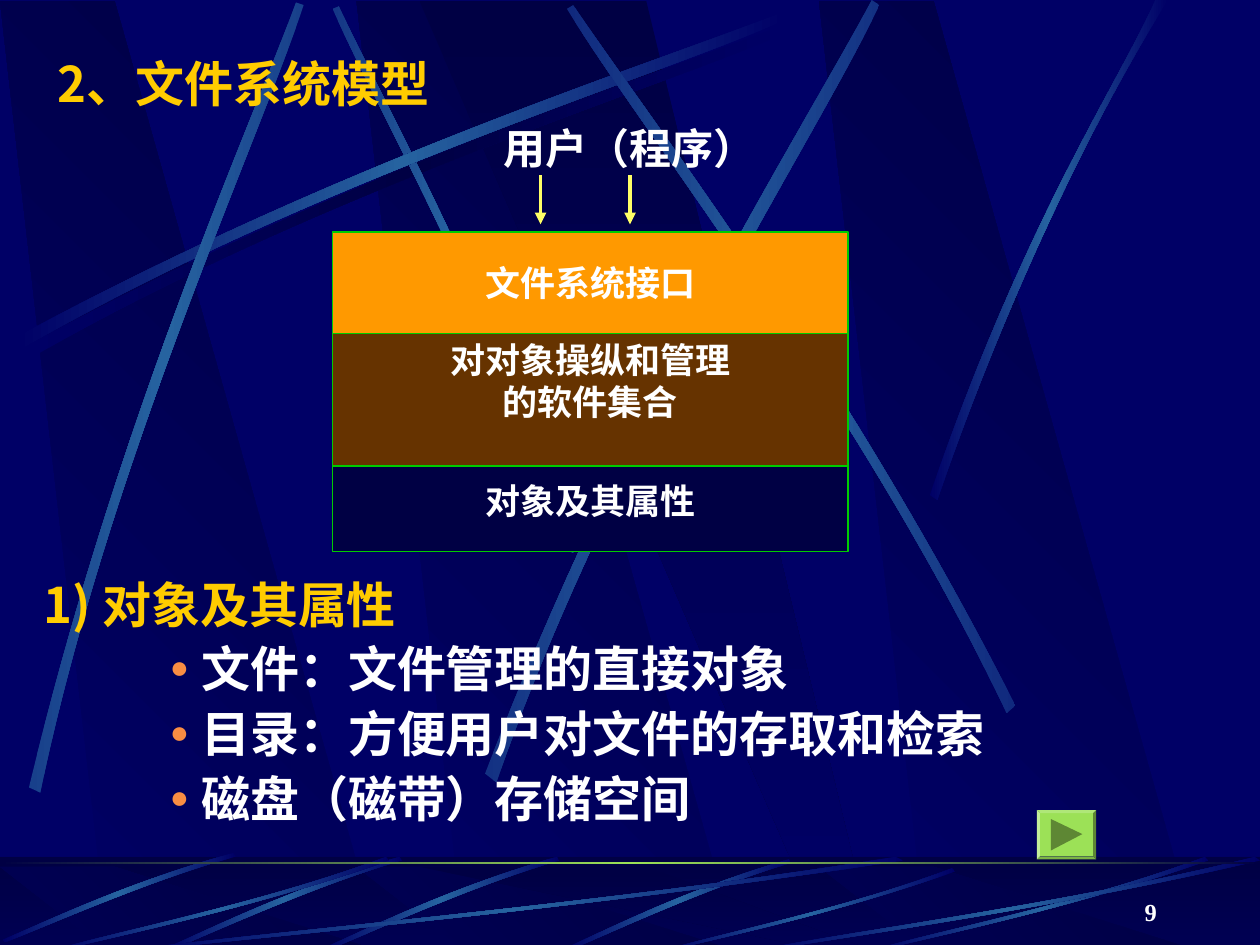
from lxml.etree import SubElement
from pptx import Presentation
from pptx.dml.color import RGBColor
from pptx.enum.shapes import MSO_CONNECTOR, MSO_SHAPE
from pptx.enum.text import MSO_ANCHOR, PP_ALIGN
from pptx.oxml.ns import qn
from pptx.util import Inches, Pt

NAVY, DARK, STEEL, GREEN = "000066", "000044", "2663A0", "9CE157"
GOLD, WHITE = "FFCC00", "FFFFFF"
SANS, SERIF = "Noto Sans CJK SC", "Times New Roman"

# Streak outlines: two cubic curves of four points each
SWEEP = [(0.14, 2.67), (2.78, 1.25), (5.18, 0.51), (6.2, 0.1),
         (6.23, 0.16), (5.22, 0.61), (2.48, 1.43), (0.17, 2.77)]
# Each outline with the width over which its gradient runs
STREAKS = [
    ([(4.6, 4.36), (3.91, 2.34), (3.02, 0.77), (2.69, 0.05),
      (2.64, 0.07), (2.95, 0.79), (3.98, 2.58), (4.54, 4.39)], 4.42),
    (SWEEP, 6.08),
    ([(0.23, 6.25), (0.93, 3.34), (1.97, 1.05), (2.35, 0.02),
      (2.41, 0.04), (2.07, 1.08), (0.86, 3.68), (0.32, 6.29)], 6.08),
    ([(3.85, 6.14), (4.98, 3.2), (6.38, 1.02), (6.92, 0),
      (6.98, 0.04), (6.49, 1.08), (4.86, 3.55), (3.94, 6.21)], 6.24),
    ([(8.06, 5.6), (6.7, 2.93), (5.16, 0.95), (4.55, 0.04),
      (4.5, 0.07), (5.07, 1.01), (6.85, 3.25), (7.99, 5.66)], 6.08),
    ([(7.38, 3.93), (8.14, 1.73), (8.88, 0.66), (9.17, 0),
      (9.27, 0), (8.36, 1.45), (7.69, 3.22), (7.44, 3.97)], 1.89),
]
# Floor ripples, as fractions of their box
ARC = [(0.99, 0), (0.53, 0.33), (0.16, 0.8), (0, 0.97),
       (0.01, 1), (0.17, 0.84), (0.62, 0.31), (1, 0.04)]
RIPPLE = [(1, 0.04), (0.57, 0.57), (0.17, 0.85), (0.01, 1),
          (0, 0.99), (0.16, 0.81), (0.61, 0.51), (0.99, 0)]
RIPPLES = [
    (ARC, (4.48, 6.82, 1.8, 0.73)), (ARC, (2.56, 6.8, 1.88, 0.75)),
    (ARC, (1.31, 6.8, 1.88, 0.75)), (ARC, (0.02, 6.77, 1.85, 0.71)),
    (RIPPLE, (1, 6.8, 6.17, 0.75)), (RIPPLE, (0.42, 6.8, 2.67, 0.75)),
    (RIPPLE, (5.27, 6.89, 2.31, 0.66)), (RIPPLE, (6.92, 6.8, 2.67, 0.75)),
    (RIPPLE, (6, 6.8, 4, 0.75)),
]


def color(value):
    return RGBColor.from_string(value)


def mix(first, second, share):
    pairs = zip(color(first), color(second))
    return "".join(f"{round(a + (b - a) * share):02X}" for a, b in pairs)


def paint(shape, fill, line=None):
    shape.shadow.inherit = False
    shape.fill.solid()
    shape.fill.fore_color.rgb = color(fill)
    if line:
        shape.line.color.rgb = color(line)
        shape.line.width = Pt(0.75)
    else:
        shape.line.fill.background()


def paint_gradient(shape, colors, angle):
    paint(shape, colors[0])
    shape.fill.gradient()
    shape.fill.gradient_angle = (360 - angle) % 360
    stops = shape._element.spPr.find(".//" + qn("a:gsLst"))
    for stop in list(stops):
        stops.remove(stop)
    for index, value in enumerate(colors):
        position = str(100000 * index // (len(colors) - 1))
        stop = SubElement(stops, qn("a:gs"), pos=position)
        SubElement(stop, qn("a:srgbClr"), val=value)


def add_box(slide, box, kind=MSO_SHAPE.RECTANGLE):
    return slide.shapes.add_shape(kind, *map(Inches, box))


def add_polygon(slide, points):
    corners = [(Inches(x), Inches(y)) for x, y in points]
    builder = slide.shapes.build_freeform(*corners[0], scale=1.0)
    builder.add_line_segments(corners[1:], close=True)
    return builder.convert_to_shape()


def bend(shape):
    """Turn the first and last three segments of an eight-point outline into curves."""
    segments = list(shape._element.spPr.iter(qn("a:lnTo")))
    for first, *others in (segments[:3], segments[4:]):
        first.tag = qn("a:cubicBezTo")
        for segment in others:
            first.append(segment[0])
            segment.getparent().remove(segment)


def add_streak(slide, points, span, middle=STEEL):
    shape = add_polygon(slide, points)
    bend(shape)
    reach = min(1, shape.width / Inches(span))
    edge = mix(middle, NAVY, reach)
    paint_gradient(shape, [edge, middle, edge], 0)


def add_bands(slide, top, height):
    bottom = top + height
    for left in (2.83, 0, 6.5):
        band = add_polygon(slide, [(left + 0.86, bottom), (left + 3.02, bottom),
                                   (left + 0.91, top), (left, top)])
        paint_gradient(band, [NAVY, DARK], 315)
    beam = add_polygon(slide, [(3.33, top), (6.58, bottom), (6.94, bottom), (5.13, top)])
    paint_gradient(beam, [DARK, NAVY], 90)


def add_backdrop(slide):
    slide.background.fill.solid()
    slide.background.fill.fore_color.rgb = color(NAVY)
    add_bands(slide, 0.01, 7.51)
    # Dark shade beneath the long sweep
    add_streak(slide, [(x + 0.06, y + 0.08) for x, y in SWEEP], 6.08, DARK)
    for points, span in STREAKS:
        add_streak(slide, points, span)


def add_floor(slide, box):
    left, top, width, height = box
    paint_gradient(add_box(slide, box), [DARK, NAVY], 90)
    add_bands(slide, top + 0.08, height - 0.08)
    veil = add_box(slide, box)
    paint(veil, DARK)
    tint = veil._element.spPr.find(".//" + qn("a:srgbClr"))
    SubElement(tint, qn("a:alpha"), val="50000")
    for outline, (x, y, w, h) in RIPPLES:
        add_streak(slide, [(x + u * w, y + v * h) for u, v in outline], w)
    # Glowing horizon line
    horizon = add_box(slide, (left, top + 0.04, width, 0.02))
    paint_gradient(horizon, [DARK, GREEN, DARK], 0)


def add_text(paragraph, text, size, font, value=WHITE):
    run = paragraph.add_run()
    run.text = text
    run.font.size, run.font.bold, run.font.name = Pt(size), True, font
    run.font.color.rgb = color(value)
    SubElement(run._r.get_or_add_rPr(), qn("a:ea"), typeface=SANS)


def add_label(slide, box, text, size, font, value=WHITE, wrap=True,
              anchor=MSO_ANCHOR.TOP, align=PP_ALIGN.LEFT):
    frame = slide.shapes.add_textbox(*map(Inches, box)).text_frame
    frame.word_wrap, frame.vertical_anchor = wrap, anchor
    frame.paragraphs[0].alignment = align
    add_text(frame.paragraphs[0], text, size, font, value)


def add_layer(slide, box, fill, lines):
    layer = add_box(slide, box)
    paint(layer, fill, "00CC00")
    frame = layer.text_frame
    frame.word_wrap, frame.vertical_anchor = False, MSO_ANCHOR.MIDDLE
    for index, line in enumerate(lines):
        paragraph = frame.add_paragraph() if index else frame.paragraphs[0]
        paragraph.alignment, paragraph.line_spacing = PP_ALIGN.CENTER, Pt(24)
        add_text(paragraph, line, 20, SERIF)


def add_model(slide, left, top, width):
    add_layer(slide, (left, top + 1.73, width, 0.81), DARK, ["对象及其属性"])
    add_layer(slide, (left, top + 0.5, width, 1.36), "663300",
              ["对对象操纵和管理", "的软件集合"])
    add_layer(slide, (left, top, width, 0.81), "FF9900", ["文件系统接口"])
    add_label(slide, (3.9, top - 0.92, 2.2, 0.5), "用户（程序）", 24, SERIF, wrap=False)
    # Arrows from the user to the interface
    for x in (4.29, 5):
        arrow = slide.shapes.add_connector(MSO_CONNECTOR.STRAIGHT, Inches(x), Inches(top - 0.45),
                                           Inches(x), Inches(top - 0.06))
        arrow.line.color.rgb, arrow.line.width = color("FFFF66"), Pt(2.25)
        SubElement(arrow.line._get_or_add_ln(), qn("a:tailEnd"), type="triangle")
        SubElement(arrow._element.spPr, qn("a:effectLst"))


def add_bullet(paragraph):
    properties = paragraph._p.get_or_add_pPr()
    properties.set("marL", str(Inches(1.25)))
    properties.set("indent", str(Inches(-0.25)))
    SubElement(SubElement(properties, qn("a:buClr")), qn("a:srgbClr"), val="F98D43")
    SubElement(properties, qn("a:buSzPct"), val="65000")
    SubElement(properties, qn("a:buFont"), typeface=SERIF)
    SubElement(properties, qn("a:buChar"), char="●")


def add_outline(slide, box, heading, items):
    frame = slide.shapes.add_textbox(*map(Inches, box)).text_frame
    frame.word_wrap = True
    add_text(frame.paragraphs[0], heading, 28, SANS, GOLD)
    for item in items:
        paragraph = frame.add_paragraph()
        paragraph.level = 2
        add_bullet(paragraph)
        add_text(paragraph, item, 28, SANS)
    for paragraph in frame.paragraphs:
        paragraph.line_spacing = Pt(37)


def add_next_button(slide, left, top):
    button = add_box(slide, (left, top, 0.47, 0.39), MSO_SHAPE.BEVEL)
    button.adjustments[0] = 0.06
    paint(button, GREEN)
    paint(add_polygon(slide, [(left + 0.11, top + 0.07), (left + 0.36, top + 0.19),
                              (left + 0.11, top + 0.32)]), "5E8734")


def main():
    presentation = Presentation()
    presentation.slide_width, presentation.slide_height = Inches(10), Inches(7.5)
    slide = presentation.slides.add_slide(presentation.slide_layouts[6])
    add_backdrop(slide)
    add_floor(slide, (0, 6.8, 10, 0.75))
    add_label(slide, (0.36, 0.37, 8.5, 0.57), "2、文件系统模型", 28, SANS, GOLD,
              anchor=MSO_ANCHOR.MIDDLE)
    add_outline(slide, (0.25, 4.46, 9.67, 2.28), "1) 对象及其属性",
                ["文件：文件管理的直接对象", "目录：方便用户对文件的存取和检索", "磁盘（磁带）存储空间"])
    add_model(slide, 2.64, 1.84, 4.09)
    add_next_button(slide, 8.23, 6.43)
    add_label(slide, (7.2, 6.9, 2.08, 0.5), "9", 14, SERIF,
              anchor=MSO_ANCHOR.BOTTOM, align=PP_ALIGN.RIGHT)
    presentation.save("out.pptx")


if __name__ == "__main__":
    main()
